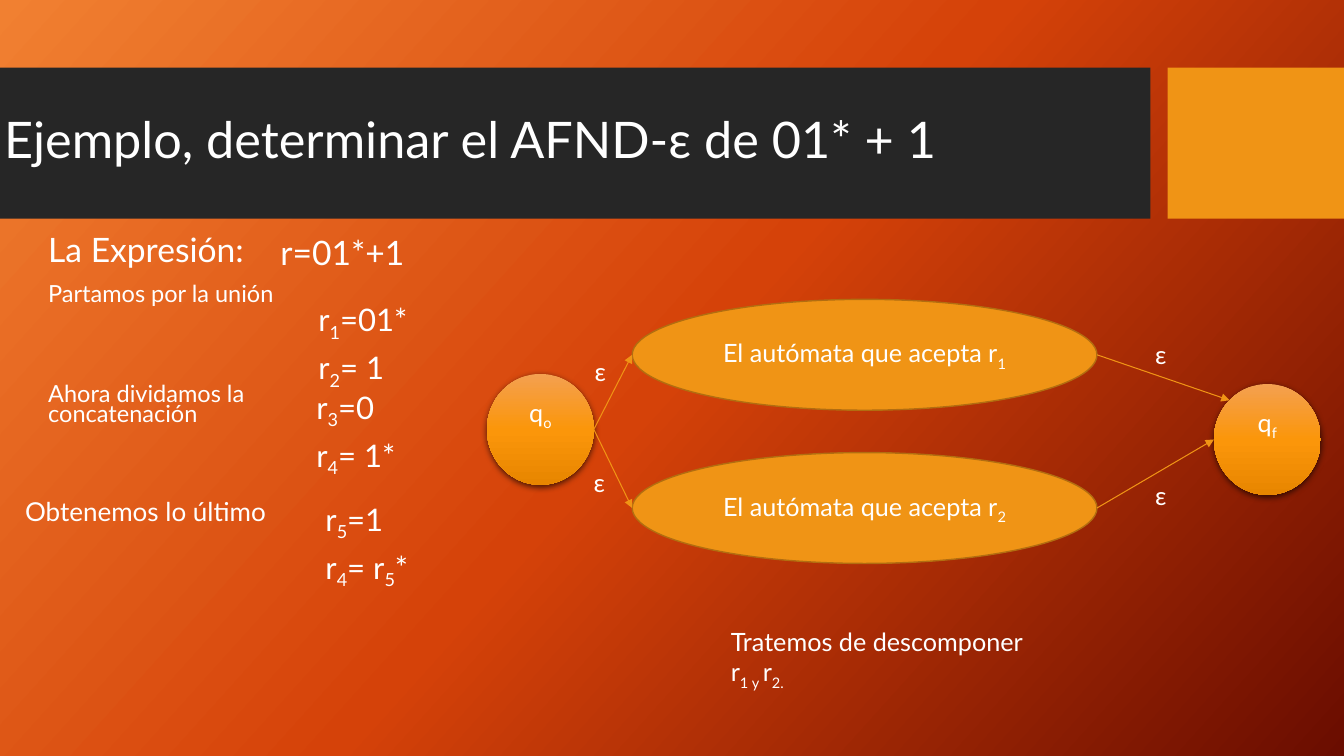
import math
import pptx
import pptx.util
import pptx.dml.color
import pptx.enum.shapes
import pptx.enum.text
import pptx.oxml.ns
import lxml.etree

Inches = pptx.util.Inches
Color = pptx.dml.color.RGBColor
Align = pptx.enum.text.PP_ALIGN
Anchor = pptx.enum.text.MSO_ANCHOR
Shape = pptx.enum.shapes.MSO_SHAPE
qn = pptx.oxml.ns.qn

WHITE = Color(0xFF, 0xFF, 0xFF)
BLACK = Color(0x00, 0x00, 0x00)
DARK = Color(0x26, 0x26, 0x26)
AMBER = Color(0xF0, 0x94, 0x15)
BROWN = Color(0xB2, 0x6D, 0x10)
BACK = [Color(0xF1, 0x80, 0x31), Color(0xD5, 0x42, 0x09), Color(0x6A, 0x0D, 0x00)]
STATE = [Color(0xF4, 0xA0, 0x50), Color(0xFB, 0x96, 0x0A), Color(0xE8, 0x86, 0x00)]


def node(parent, tag, **attrs):
    """Add one XML element."""
    child = lxml.etree.SubElement(parent, qn(tag))
    for name, value in attrs.items():
        child.set(name, str(value))
    return child


def blend(fill, root, colors, angle):
    """Give a fill three evenly spaced gradient stops."""
    fill.gradient()
    grad = next(root.iter(qn("a:gradFill")))
    for child in list(grad):
        grad.remove(child)
    stops = node(grad, "a:gsLst")
    for i, color in enumerate(colors):
        stop = node(stops, "a:gs", pos=i * 50000)
        node(stop, "a:srgbClr", val=color)
    node(grad, "a:lin", ang=angle * 60000, scaled=0)


def write(shape, text, size=18, align=Align.LEFT, lead=None, before=0, anchor=Anchor.TOP):
    """Write lines of text; parts between underscores are subscripts."""
    frame = shape.text_frame
    frame.word_wrap = True
    frame.auto_size = pptx.enum.text.MSO_AUTO_SIZE.NONE
    frame.vertical_anchor = anchor
    for i, line in enumerate(text.split("\n")):
        para = frame.add_paragraph() if i else frame.paragraphs[0]
        para.alignment = align
        para.space_before = pptx.util.Pt(before)
        if lead:
            para.line_spacing = lead
        for j, part in enumerate(line.split("_")):
            if not part:
                continue
            run = para.add_run()
            run.text = part
            run.font.name = "Lato"
            run.font.size = pptx.util.Pt(size)
            run.font.color.rgb = WHITE
            if j % 2:
                run.font._element.set("baseline", "-25000")


def place(shape, x, y, w, h):
    shape.left, shape.top = Inches(x), Inches(y)
    shape.width, shape.height = Inches(w), Inches(h)


def label(slide, text, x, y, w, h, **style):
    box = slide.shapes.add_textbox(Inches(x), Inches(y), Inches(w), Inches(h))
    write(box, text, **style)


def solid(slide, kind, x, y, w, h, color, edge=None):
    shape = slide.shapes.add_shape(kind, Inches(x), Inches(y), Inches(w), Inches(h))
    shape.shadow.inherit = False
    shape.fill.solid()
    shape.fill.fore_color.rgb = color
    if edge:
        shape.line.color.rgb = edge
        shape.line.width = pptx.util.Pt(1)
    else:
        shape.line.fill.background()
    return shape


def state(slide, text, x, y, w, h):
    """Round state with a gradient and a soft shadow."""
    shape = solid(slide, Shape.OVAL, x, y, w, h, AMBER)
    blend(shape.fill, shape.element, STATE, 90)
    effects = shape.element.spPr.find(qn("a:effectLst"))
    shadow = node(effects, "a:outerShdw", blurRad=pptx.util.Pt(4.5),
                  dist=pptx.util.Pt(1.5), dir=90 * 60000, rotWithShape=0)
    node(node(shadow, "a:srgbClr", val=BLACK), "a:alpha", val=63000)
    write(shape, text, align=Align.CENTER, anchor=Anchor.MIDDLE)
    shape.text_frame.margin_bottom = Inches(0.35)


def arrow(slide, start, end):
    ends = [Inches(v) for v in (*start, *end)]
    line = slide.shapes.add_connector(pptx.enum.shapes.MSO_CONNECTOR.STRAIGHT, *ends)
    line.line.color.rgb = AMBER
    line.line.width = pptx.util.Pt(0.75)
    node(line.line._get_or_add_ln(), "a:tailEnd", type="triangle")
    node(line.element.spPr, "a:effectLst")


def header(slide, x, y, w, h):
    """Title band with its amber block."""
    block = 1.75
    bars = [solid(slide, Shape.RECTANGLE, x, y, w - block - 0.17, h, DARK),
            solid(slide, Shape.RECTANGLE, x + w - block, y, block, h, AMBER)]
    for i, bar in enumerate(bars):
        slide.shapes.element.insert(2 + i, bar.element)
    title = slide.shapes.title
    place(title, x - 0.06, y + 0.15, 9.6, 1.18)
    write(title, "Ejemplo, determinar el AFND-ε de 01* + 1", size=36,
          lead=0.9, anchor=Anchor.MIDDLE)


def steps(slide, x, y):
    """Expression and its breakdown."""
    body = slide.placeholders[1]
    place(body, x + 2.53, y + 0.03, 1.9, 0.53)
    write(body, "r=01*+1", size=24, lead=0.9, before=10)
    props = body.text_frame.paragraphs[0]._p.get_or_add_pPr()
    props.set("marL", "0")
    props.set("indent", "0")
    node(props, "a:buNone")

    notes = [("La Expresión:", 0.23, 0, 2.75, 24, 0.9),
             ("Partamos por la unión", 0.23, 0.53, 2.75, 16.8, 0.7),
             ("Ahora dividamos la concatenación", 0.23, 1.52, 2.3, 16.8, 0.7),
             ("Obtenemos lo último", 0, 2.68, 2.75, 18.6, 0.7)]
    for text, dx, dy, w, size, lead in notes:
        label(slide, text, x + dx, y + dy, w, 0.53, size=size, lead=lead, before=10)

    rules = [("r_1_=01*\nr_2_= 1", 2.91, 0.7),
             ("r_3_=0\nr_4_= 1*", 2.89, 1.57),
             ("r_5_=1\nr_4_= r_5_*", 2.98, 2.68)]
    for text, dx, dy in rules:
        label(slide, text, x + dx, y + dy, 1.14, 0.89, size=22.2, lead=0.8, before=10)


def graph(slide, x, y):
    """Union automaton: start, two branches, end."""
    round_w, tall, wide, gap = 1.06, 1.1, 4.61, 1.52
    first = (x, y + 0.74)
    last = (x + 7.21, y + 0.84)
    mid = x + 1.44
    out = (first[0] + round_w, first[1] + tall / 2)
    inset = (1 - math.sqrt(0.5)) / 2
    goals = [(last[0] + round_w * inset, last[1] + tall * inset),
             (last[0], last[1] + tall / 2)]

    state(slide, "q_o_", *first, round_w, tall)
    state(slide, "q_f_", *last, round_w, tall)
    for i, goal in enumerate(goals):
        top = y + i * gap
        oval = solid(slide, Shape.OVAL, mid, top, wide, tall, AMBER, BROWN)
        write(oval, f"El autómata que acepta r_{i + 1}_", align=Align.CENTER,
              anchor=Anchor.MIDDLE)
        arrow(slide, out, (mid, top + tall / 2))
        arrow(slide, (mid + wide, top + tall / 2), goal)

    for dx, dy in [(0.97, 0.52), (0.96, 1.62), (6.53, 0.35), (6.53, 1.75)]:
        label(slide, "ε", x + dx, y + dy, 0.3, 0.4)
    label(slide, "Tratemos de descomponer r_1 y _r_2._", x + 2.32, y + 3.23,
          3.09, 0.68, lead=0.9, before=10)


def main():
    deck = pptx.Presentation()
    deck.slide_width, deck.slide_height = Inches(13.33), Inches(7.5)
    slide = deck.slides.add_slide(deck.slide_layouts[1])
    blend(slide.background.fill, slide.element, BACK, 42)
    header(slide, 0, 0.67, 13.33, 1.5)
    steps(slide, 0.15, 2.27)
    graph(slide, 4.83, 2.97)
    deck.save("out.pptx")


if __name__ == "__main__":
    main()
